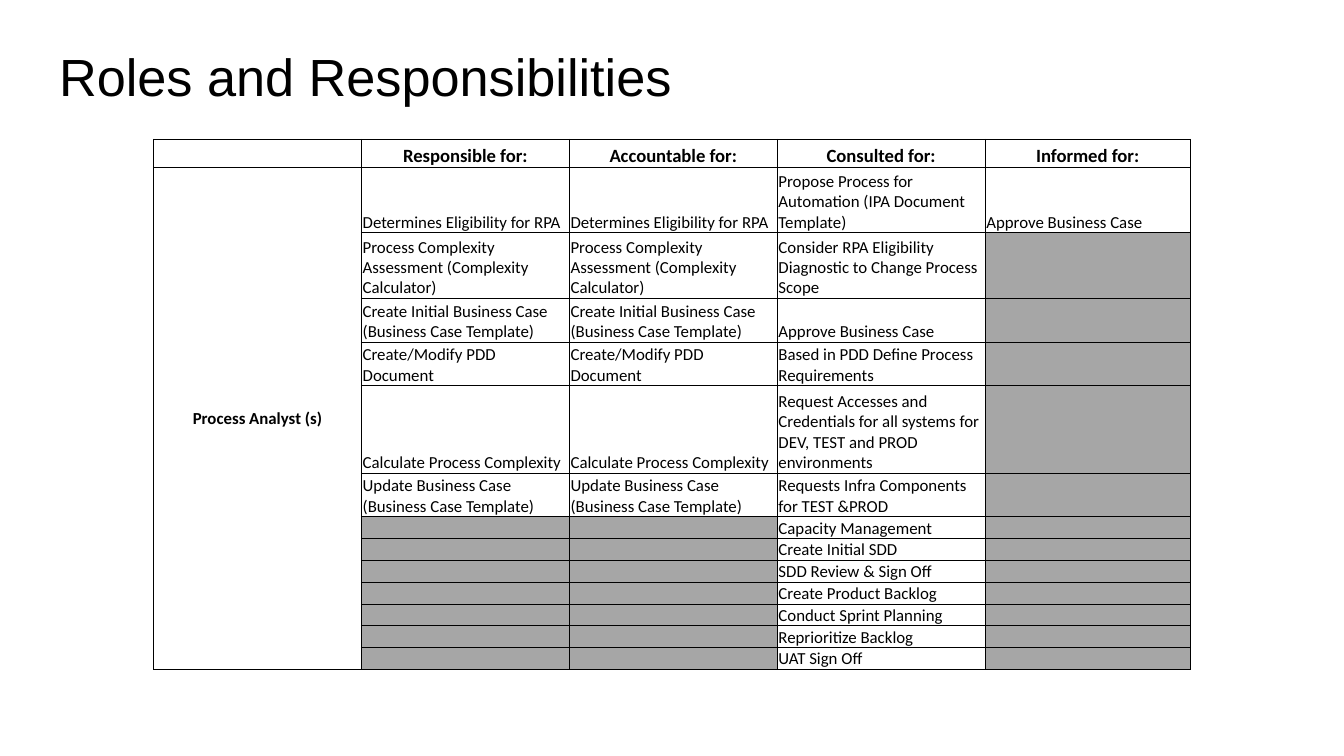
from lxml.etree import SubElement
from pptx import Presentation
from pptx.dml.color import RGBColor
from pptx.enum.text import MSO_ANCHOR, MSO_AUTO_SIZE, PP_ALIGN
from pptx.oxml.ns import qn
from pptx.util import Pt

TITLE = "Roles and Responsibilities"
ROLE = "Process Analyst (s)"
HEADERS = ["", "Responsible for:", "Accountable for:", "Consulted for:", "Informed for:"]

# The analyst is both responsible and accountable for each of these tasks.
OWNED = [
    "Determines Eligibility for RPA",
    "Process Complexity Assessment (Complexity Calculator)",
    "Create Initial Business Case (Business Case Template)",
    "Create/Modify PDD Document",
    "Calculate Process Complexity",
    "Update Business Case (Business Case Template)",
]
# Consulted task and the number of text lines its row holds.
CONSULTED = [
    ("Propose Process for Automation (IPA Document Template)", 3),
    ("Consider RPA Eligibility Diagnostic to Change Process Scope", 3),
    ("Approve Business Case", 2),
    ("Based in PDD Define Process Requirements", 2),
    ("Request Accesses and Credentials for all systems for DEV, TEST and PROD environments", 4),
    ("Requests Infra Components for TEST &PROD", 2),
    ("Capacity Management", 1),
    ("Create Initial SDD", 1),
    ("SDD Review & Sign Off", 1),
    ("Create Product Backlog", 1),
    ("Conduct Sprint Planning", 1),
    ("Reprioritize Backlog", 1),
    ("UAT Sign Off", 1),
]
INFORMED = ["Approve Business Case"]

BLACK, GREY = "000000", "A6A6A6"
TABLE_LEFT, TABLE_TOP = 82.2, 74.7
COLUMN_WIDTHS = [111.4] * 4 + [109.9]
HEADER_HEIGHT, LINE_HEIGHT = 15, 11.7
HEADER_SIZE, BODY_SIZE = 10, 9


def rgb(hex_code):
    return RGBColor.from_string(hex_code)


def style_font(font, name, size, bold=False):
    font.name, font.size, font.bold = name, Pt(size), bold
    font.color.rgb = rgb(BLACK)


def add_borders(cell):
    properties = cell._tc.get_or_add_tcPr()
    for side in ("lnL", "lnR", "lnT", "lnB"):
        line = SubElement(properties, qn(f"a:{side}"), w=str(Pt(0.5)))
        fill = SubElement(line, qn("a:solidFill"))
        SubElement(fill, qn("a:srgbClr"), val=BLACK)


def fill_cell(cell, text, size, bold, centred, margin, anchor, shaded):
    add_borders(cell)
    if shaded:
        cell.fill.solid()
        cell.fill.fore_color.rgb = rgb(GREY)
    else:
        cell.fill.background()
    cell.margin_left = cell.margin_right = cell.margin_top = Pt(margin)
    cell.margin_bottom = 0
    cell.vertical_anchor = anchor
    paragraph = cell.text_frame.paragraphs[0]
    paragraph.text = text
    paragraph.alignment = PP_ALIGN.CENTER if centred else PP_ALIGN.LEFT
    for run in paragraph.runs:
        style_font(run.font, "Calibri", size, bold)
    if not text:  # keeps an empty cell from stretching its row
        SubElement(paragraph._p, qn("a:endParaRPr"), sz=str(size * 100))


def add_title(slide):
    title = slide.shapes.title
    title.left, title.top, title.width, title.height = Pt(24.5), Pt(13), Pt(671), Pt(45.4)
    frame = title.text_frame
    frame.text = TITLE
    frame.word_wrap = True
    frame.auto_size = MSO_AUTO_SIZE.NONE
    frame.vertical_anchor = MSO_ANCHOR.TOP
    frame.margin_left = frame.margin_right = frame.margin_bottom = Pt(7.2)
    frame.margin_top = Pt(10.6)
    paragraph = frame.paragraphs[0]
    paragraph.alignment = PP_ALIGN.LEFT
    paragraph.line_spacing = 1.0
    style_font(paragraph.runs[0].font, "Arial", 28)


def add_roles_table(slide):
    heights = [HEADER_HEIGHT] + [lines * LINE_HEIGHT for _, lines in CONSULTED]
    table = slide.shapes.add_table(
        len(heights), len(HEADERS), Pt(TABLE_LEFT), Pt(TABLE_TOP),
        Pt(sum(COLUMN_WIDTHS)), Pt(sum(heights))).table
    table.first_row = table.horz_banding = False
    for column, width in zip(table.columns, COLUMN_WIDTHS):
        column.width = Pt(width)
    for row, height in zip(table.rows, heights):
        row.height = Pt(height)

    for column, header in enumerate(HEADERS):
        fill_cell(table.cell(0, column), header, HEADER_SIZE, True, True, 0,
                  MSO_ANCHOR.BOTTOM, False)
    for index, (consulted, _) in enumerate(CONSULTED):
        owned = OWNED[index] if index < len(OWNED) else ""
        informed = INFORMED[index] if index < len(INFORMED) else ""
        role = ROLE if index == 0 else ""
        for column, text in enumerate([role, owned, owned, consulted, informed]):
            is_role = column == 0
            fill_cell(table.cell(index + 1, column), text, BODY_SIZE, is_role, is_role, 0.72,
                      MSO_ANCHOR.MIDDLE if is_role else MSO_ANCHOR.BOTTOM,
                      not text and not is_role)
    table.cell(1, 0).merge(table.cell(len(CONSULTED), 0))


def main():
    presentation = Presentation()
    presentation.slide_width, presentation.slide_height = Pt(720), Pt(405)
    slide = presentation.slides.add_slide(presentation.slide_layouts[5])
    add_title(slide)
    add_roles_table(slide)
    presentation.save("out.pptx")


if __name__ == "__main__":
    main()
